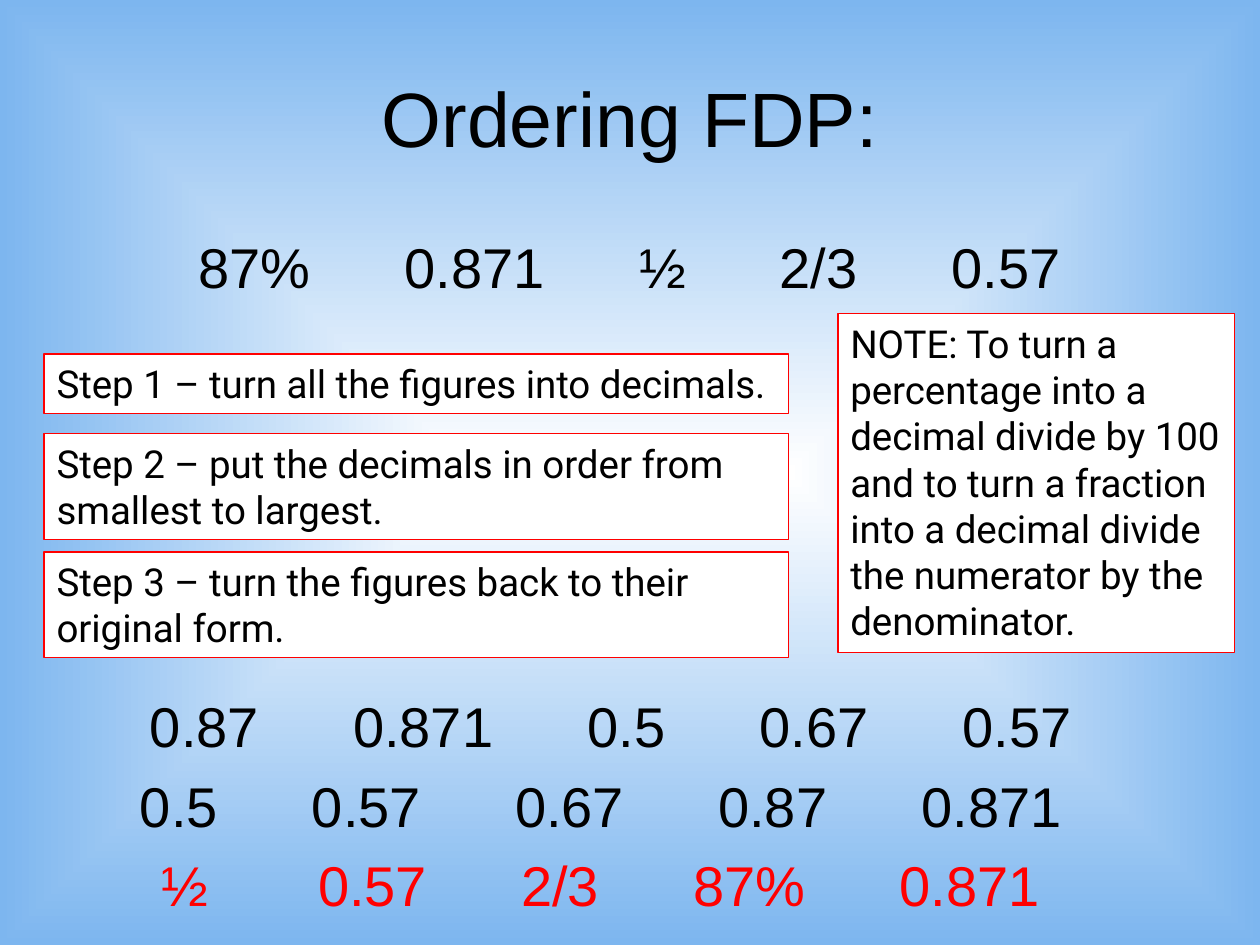
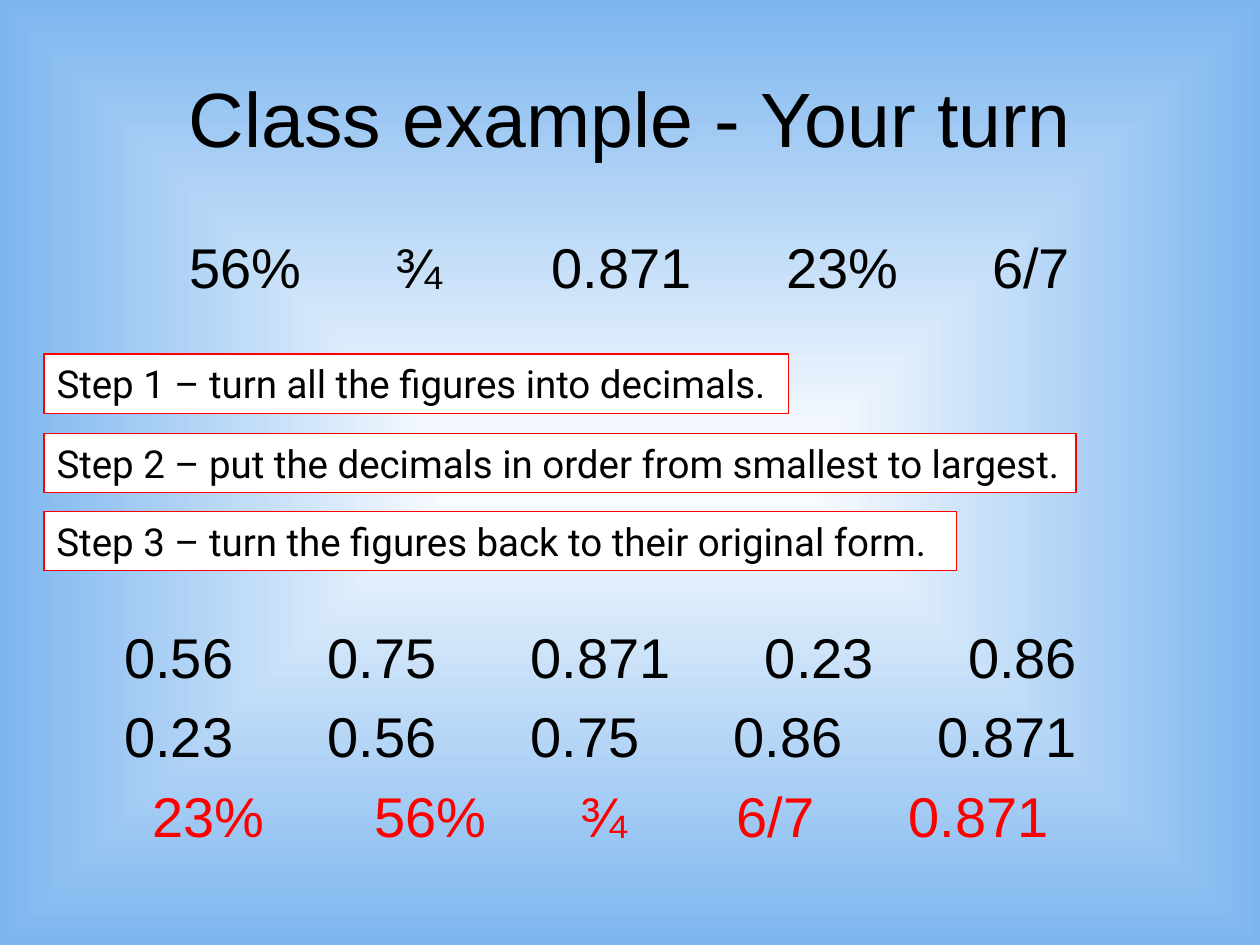
from dataclasses import dataclass

from lxml.etree import SubElement
from pptx import Presentation
from pptx.dml.color import RGBColor
from pptx.enum.shapes import MSO_SHAPE
from pptx.enum.text import MSO_ANCHOR, PP_ALIGN
from pptx.oxml.ns import qn
from pptx.util import Pt

COLOURS = {"ink": "000000", "red": "FF0000", "paper": "FFFFFF", "sky": "7DB6EF"}
HEADING_FONT, NOTE_FONT = "Arial", "Roboto"
FIGURE_SIZE = 32
ROW_WIDTH, ROW_HEIGHT, ROW_PITCH = 648, 47.5, 45.36
SIDE_INSET = 7.2
STEP_LEFT = 25.2

# Arial advance widths, in ems; every other figure character is a digit
GLYPH_WIDTHS = {".": 0.28, "/": 0.28, " ": 0.28, "%": 0.89, "½": 0.83, "¾": 0.83}
DIGIT_WIDTH = 0.556
EVEN_GAPS = (6, 6, 6, 6)

STEPS = (
    "Step 1 – turn all the figures into decimals.",
    "Step 2 – put the decimals in order from smallest to largest.",
    "Step 3 – turn the figures back to their original form.",
)
NOTE = ("NOTE: To turn a percentage into a decimal divide by 100 and to turn "
        "a fraction into a decimal divide the numerator by the denominator.")


@dataclass(frozen=True)
class FigureRow:
    figures: str
    left: float
    gaps: tuple[int, ...] = EVEN_GAPS
    colour: str = "ink"


@dataclass(frozen=True)
class Card:
    words: str
    left: float
    top: float
    width: float
    height: float


@dataclass(frozen=True)
class Lesson:
    title: str
    question: FigureRow
    cards: tuple[Card, ...]
    working_top: float
    working: tuple[FigureRow, ...]


LESSONS = (
    Lesson(
        "Ordering FDP:",
        FigureRow("87% 0.871 ½ 2/3 0.57", 36),
        (
            Card(STEPS[0], STEP_LEFT, 202.3, 425.5, 33.84),
            Card(STEPS[1], STEP_LEFT, 247.7, 425.5, 60.5),
            Card(STEPS[2], STEP_LEFT, 315.4, 425.5, 60.5),
            Card(NOTE, 478.8, 179.3, 226.8, 193.7),
        ),
        388.8,
        (
            FigureRow("0.87 0.871 0.5 0.67 0.57", 25.2),
            FigureRow("0.5 0.57 0.67 0.87 0.871", 19.44),
            FigureRow("½ 0.57 2/3 87% 0.871", 19.44, (7, 6, 6, 6), "red"),
        ),
    ),
    Lesson(
        "Class example - Your turn",
        FigureRow("56% ¾ 0.871 23% 6/7", 36, (6, 7, 6, 6)),
        (
            Card(STEPS[0], STEP_LEFT, 202.3, 425.5, 33.84),
            Card(STEPS[1], STEP_LEFT, 247.7, 589.7, 33.84),
            Card(STEPS[2], STEP_LEFT, 292.3, 521.3, 33.84),
        ),
        349.2,
        (
            FigureRow("0.56 0.75 0.871 0.23 0.86", 19.44),
            FigureRow("0.23 0.56 0.75 0.86 0.871", 19.44),
            FigureRow("23% 56% ¾ 6/7 0.871", 19.44, (7, 6, 7, 6), "red"),
        ),
    ),
)


def rgb(name: str) -> RGBColor:
    return RGBColor.from_string(COLOURS[name])


def add_words(paragraph, words: str, font: str, size: float, colour: str = "ink") -> None:
    run = paragraph.add_run()
    run.text = words
    run.font.name = font
    run.font.size = Pt(size)
    run.font.color.rgb = rgb(colour)


def paint_background(master) -> None:
    """Glow from white in the centre to blue at the edges."""
    fill = master.background.fill
    fill.gradient()
    for stop, position, colour in zip(fill.gradient_stops, (0, 1), ("paper", "sky")):
        stop.position = position
        stop.color.rgb = rgb(colour)
    gradient = next(master.element.iter(qn("a:gradFill")))
    edge = list(gradient.iter(qn("a:srgbClr")))[-1]
    SubElement(edge, qn("a:alpha"), val="96000")
    gradient.remove(gradient.find(qn("a:lin")))
    glow = SubElement(gradient, qn("a:path"), path="shape")
    SubElement(glow, qn("a:fillToRect"), {side: "50000" for side in "ltrb"})


def figure_width(figure: str) -> float:
    return FIGURE_SIZE * sum(GLYPH_WIDTHS.get(glyph, DIGIT_WIDTH) for glyph in figure)


def figure_starts(row: FigureRow) -> list[float]:
    """Start of each figure, with the whole row centred in its box."""
    widths = [figure_width(figure) for figure in row.figures.split()]
    gaps = [figure_width(" ") * count for count in row.gaps]
    start = (ROW_WIDTH - 2 * SIDE_INSET - sum(widths) - sum(gaps)) / 2
    starts = [start]
    for width, gap in zip(widths, gaps):
        starts.append(starts[-1] + width + gap)
    return starts


def add_figure_row(slide, row: FigureRow, top: float) -> None:
    box = slide.shapes.add_textbox(Pt(row.left), Pt(top), Pt(ROW_WIDTH), Pt(ROW_HEIGHT))
    frame = box.text_frame
    frame.word_wrap = True
    frame.margin_top = Pt(6.6)
    paragraph = frame.paragraphs[0]
    tabs = SubElement(paragraph._p.get_or_add_pPr(), qn("a:tabLst"))
    for start in figure_starts(row):
        SubElement(tabs, qn("a:tab"), pos=str(int(Pt(start))), algn="l")
    for figure in row.figures.split():
        add_words(paragraph, f"\t{figure}", HEADING_FONT, FIGURE_SIZE, row.colour)


def add_card(slide, card: Card) -> None:
    box = slide.shapes.add_shape(MSO_SHAPE.RECTANGLE, Pt(card.left), Pt(card.top),
                                 Pt(card.width), Pt(card.height))
    box.shadow.inherit = False
    box.fill.solid()
    box.fill.fore_color.rgb = rgb("paper")
    box.line.color.rgb = rgb("red")
    box.line.width = Pt(0.75)
    frame = box.text_frame
    frame.word_wrap = True
    frame.vertical_anchor = MSO_ANCHOR.TOP
    frame.paragraphs[0].alignment = PP_ALIGN.LEFT
    add_words(frame.paragraphs[0], card.words, NOTE_FONT, 22)


def add_title(slide, words: str) -> None:
    title = slide.shapes.title
    title.left, title.top, title.width, title.height = Pt(36), Pt(21.6), Pt(648), Pt(90)
    title.text_frame.vertical_anchor = MSO_ANCHOR.MIDDLE
    paragraph = title.text_frame.paragraphs[0]
    paragraph.alignment = PP_ALIGN.CENTER
    add_words(paragraph, words, HEADING_FONT, 44)


def add_lesson(deck, lesson: Lesson) -> None:
    slide = deck.slides.add_slide(deck.slide_layouts.get_by_name("Title Only"))
    add_title(slide, lesson.title)
    add_figure_row(slide, lesson.question, 126)
    for card in lesson.cards:
        add_card(slide, card)
    # Decimals, sorted decimals, then the answer
    for index, row in enumerate(lesson.working):
        add_figure_row(slide, row, lesson.working_top + index * ROW_PITCH)


def main() -> None:
    deck = Presentation()
    deck.slide_width, deck.slide_height = Pt(720), Pt(540)
    paint_background(deck.slide_master)
    for lesson in LESSONS:
        add_lesson(deck, lesson)
    deck.save("out.pptx")


if __name__ == "__main__":
    main()
